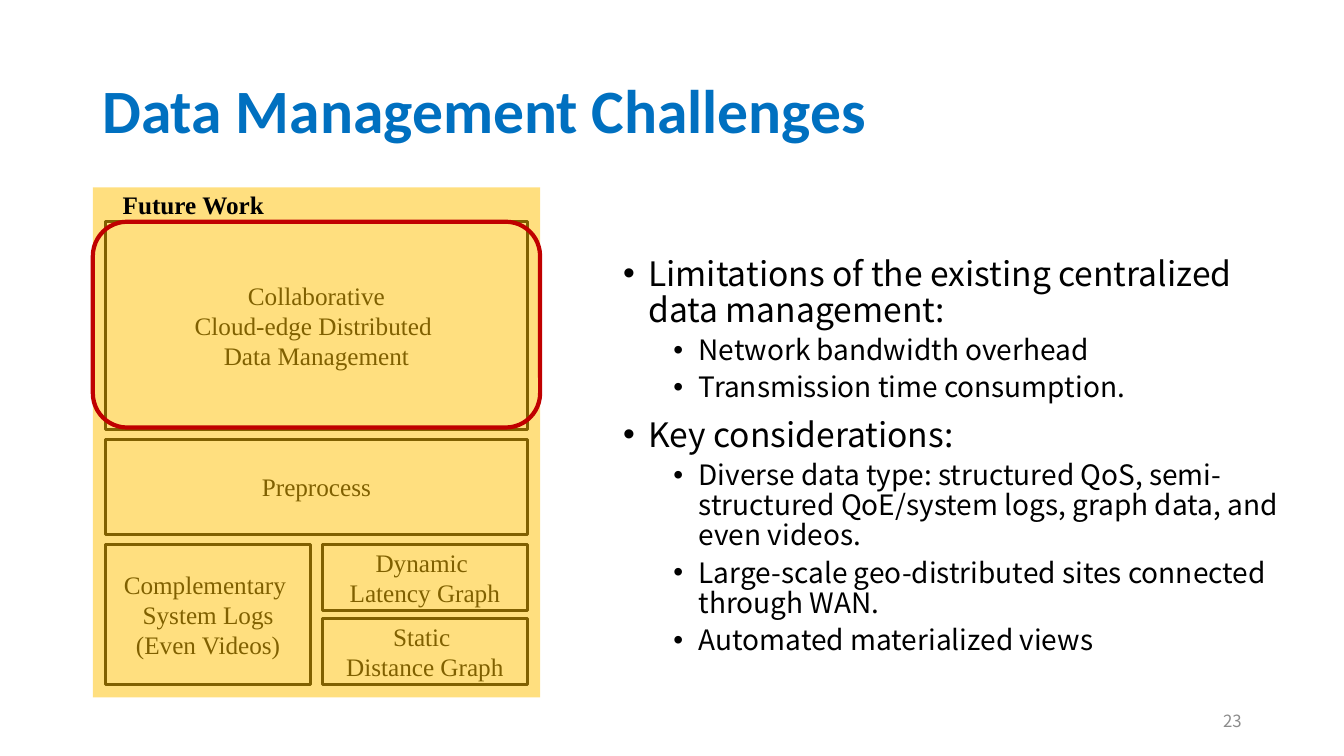
from lxml import etree
from pptx import Presentation
from pptx.dml.color import RGBColor
from pptx.enum.shapes import MSO_SHAPE
from pptx.enum.text import MSO_ANCHOR, PP_ALIGN
from pptx.oxml.ns import qn
from pptx.util import Pt

RECT, ROUND = MSO_SHAPE.RECTANGLE, MSO_SHAPE.ROUNDED_RECTANGLE
TOP, MIDDLE = MSO_ANCHOR.TOP, MSO_ANCHOR.MIDDLE
LEFT, CENTER, RIGHT = PP_ALIGN.LEFT, PP_ALIGN.CENTER, PP_ALIGN.RIGHT

COLORS = {"title": "0070C0", "ink": "000000", "paper": "FFFFFF",
          "veil": "FFC000", "mark": "C00000", "number": "8C8C8C"}
HEAD, BODY, SERIF = "Calibri", "Noto Sans CJK SC", "Times New Roman"

TITLE = "Data Management Challenges"
POINTS = [
    (0, "Limitations of the existing centralized data management:"),
    (1, "Network bandwidth overhead"),
    (1, "Transmission time consumption."),
    (0, "Key considerations:"),
    (1, "Diverse data type: structured QoS, semi-structured QoE/system logs, "
        "graph data, and even videos."),
    (1, "Large-scale geo-distributed sites connected through WAN."),
    (1, "Automated materialized views"),
]
LEVELS = [{"size": 24, "before": 10, "indent": 18},
          {"size": 20, "before": 5, "indent": 54}]
MANAGEMENT = ["Collaborative", "Cloud-edge Distributed ", "Data Management"]
PREPROCESS = ["Preprocess"]
LOGS = ["Complementary ", "System Logs", "(Even Videos)"]
GRAPHS = [["Dynamic ", "Latency Graph"], ["Static ", "Distance Graph"]]

PANEL = (66.3, 133.9, 319.5, 364.3)
INSET, COL_GAP, ROW_GAP, GRAPH_GAP = 8.9, 8, 7.2, 5.6
ROWS_TOP, ROW_HEIGHTS = 158.4, (148.3, 67.7, 100.4)

prs = Presentation()
prs.slide_width, prs.slide_height = Pt(960), Pt(540)
s = prs.slides.add_slide(prs.slide_layouts[6])


def add_para(tf, text, *, font, size, color="ink", bold=False, align=LEFT,
             spacing=None, before=0, indent=None):
    """Append one formatted paragraph to a text frame."""
    first = not tf.paragraphs[0].runs
    p = tf.paragraphs[0] if first else tf.add_paragraph()
    if indent is not None:
        pPr = p._p.get_or_add_pPr()
        pPr.set("marL", str(Pt(indent)))
        pPr.set("indent", str(Pt(-18)))
        etree.SubElement(pPr, qn("a:buFont")).set("typeface", "Arial")
        etree.SubElement(pPr, qn("a:buChar")).set("char", "•")
    p.alignment = align
    if spacing:
        p.line_spacing = spacing
    p.space_before = Pt(0 if first else before)
    r = p.add_run()
    r.text = text
    r.font.name, r.font.size, r.font.bold = font, Pt(size), bold
    r.font.color.rgb = RGBColor.from_string(COLORS[color])
    for tag in ("a:ea", "a:cs"):
        etree.SubElement(r._r.get_or_add_rPr(), qn(tag)).set("typeface", font)


def add_box(x, y, w, h, anchor=TOP):
    tf = s.shapes.add_textbox(Pt(x), Pt(y), Pt(w), Pt(h)).text_frame
    tf.word_wrap, tf.vertical_anchor = True, anchor
    return tf


def add_block(kind, x, y, w, h, fill=None, line=None, weight=2.25):
    sp = s.shapes.add_shape(kind, Pt(x), Pt(y), Pt(w), Pt(h))
    sp.shadow.inherit = False
    if fill:
        sp.fill.solid()
        sp.fill.fore_color.rgb = RGBColor.from_string(COLORS[fill])
    else:
        sp.fill.background()
    if line:
        sp.line.color.rgb = RGBColor.from_string(COLORS[line])
        sp.line.width = Pt(weight)
    else:
        sp.line.fill.background()
    return sp


add_para(add_box(66, 28.8, 828, 104.4, MIDDLE), TITLE, font=HEAD, size=44,
         color="title", bold=True, spacing=0.9)

points_tf = add_box(438, 180, 493, 306)
for level, text in POINTS:
    add_para(points_tf, text, font=BODY, spacing=0.9, **LEVELS[level])

add_para(add_box(678, 500.5, 216, 28.8, MIDDLE), "23", font=BODY, size=12,
         color="number", align=RIGHT)

left, full = PANEL[0] + INSET, PANEL[2] - 2 * INSET
half = (full - COL_GAP) / 2
right = left + half + COL_GAP
top_h, mid_h, low_h = ROW_HEIGHTS
mid_y = ROWS_TOP + top_h + ROW_GAP
low_y = mid_y + mid_h + ROW_GAP
graph_h = (low_h - GRAPH_GAP) / 2

blocks = [(LOGS, left, low_y, half, low_h),
          (MANAGEMENT, left, ROWS_TOP, full, top_h),
          (PREPROCESS, left, mid_y, full, mid_h)]
blocks += [(lines, right, low_y + i * (graph_h + GRAPH_GAP), half, graph_h)
           for i, lines in enumerate(GRAPHS)]
for lines, *place in blocks:
    tf = add_block(RECT, *place, fill="paper", line="ink").text_frame
    tf.word_wrap, tf.vertical_anchor = True, MIDDLE
    for text in lines:
        add_para(tf, text, font=SERIF, size=18, align=CENTER)

veil = add_block(RECT, *PANEL, fill="veil")
veil_color = veil._element.spPr.find(qn("a:solidFill"))[0]
etree.SubElement(veil_color, qn("a:alpha")).set("val", "50000")

add_para(add_box(80.6, 131.8, 168, 29), "Future Work", font=SERIF, size=18,
         bold=True)
add_block(ROUND, PANEL[0], ROWS_TOP, PANEL[2], 147, line="mark", weight=3)

prs.save("out.pptx")
